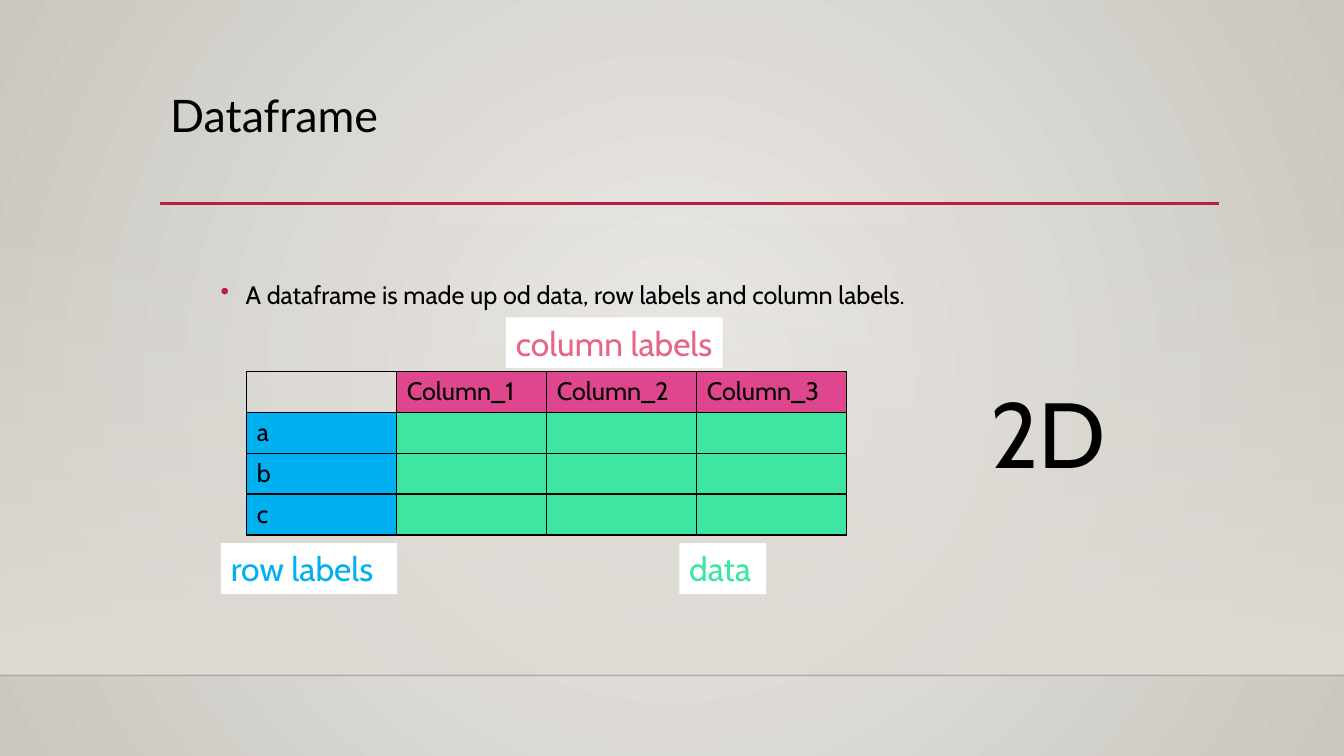
import pptx
import pptx.dml.color
import pptx.enum.shapes
import pptx.oxml
import pptx.oxml.ns
import pptx.util
from pptx.util import Cm

TITLE = "Dataframe"
BULLET = "A dataframe is made up od data, row labels and column labels."
DIMENSION = "2D"
COLUMNS = ["Column_1", "Column_2", "Column_3"]
ROWS = ["a", "b", "c"]
BLACK, WHITE, RED = "000000", "FFFFFF", "B71E42"
PINK, BLUE, GREEN = "DE478E", "00B0F0", "3DE6A1"
LABELS = [
    ("column labels", "E66684", 12.75, 8.0, 5.46),
    ("row labels", BLUE, 5.57, 13.69, 4.44),
    ("data", GREEN, 17.12, 13.69, 2.18),
]
LABEL_H = 1.28
WIDTH, HEIGHT = 33.87, 19.05
SHELF_TOP, SHELF_Y = 5.61, 17.02
MARGIN, CONTENT_W, RULE_Y = 4.04, 26.67, 5.13
TABLE_X, TABLE_Y, COL_W, ROW_H = 6.22, 9.36, 3.78, 1.03


def color(value):
    return pptx.dml.color.RGBColor.from_string(value)


def xml(tag, inner="", attrs=""):
    ns = pptx.oxml.ns.nsdecls("a")
    return pptx.oxml.parse_xml(f"<a:{tag} {ns} {attrs}>{inner}</a:{tag}>")


def solid(value, alpha=100):
    return f'<a:srgbClr val="{value}"><a:alpha val="{alpha * 1000}"/></a:srgbClr>'


def gradient(owner, fill, stops, direction):
    fill.gradient()
    grad = next(owner.iter(pptx.oxml.ns.qn("a:gradFill")))
    for child in list(grad):
        grad.remove(child)
    grad.append(xml("gsLst", "".join(
        f'<a:gs pos="{pos * 1000}">{solid(value, alpha)}</a:gs>'
        for pos, value, alpha in stops)))
    grad.append(direction)


def write(tf, text, size=18, font="Cabin", fill=BLACK, spacing=None, bullet=None):
    tf.word_wrap = True
    p = tf.paragraphs[0]
    if spacing:
        p.line_spacing = spacing
    if bullet:
        pPr = p._p.get_or_add_pPr()
        pPr.set("marL", str(Cm(1.9)))
        pPr.set("indent", str(-Cm(0.63)))
        pPr.append(xml("buClr", solid(bullet)))
        pPr.append(xml("buChar", attrs='char="•"'))
    r = p.add_run()
    r.text = text
    r.font.size = pptx.util.Pt(size)
    r.font.name = font
    r.font.color.rgb = color(fill)


def text_box(s, x, y, w, h, text, back=None, **style):
    sp = s.shapes.add_textbox(Cm(x), Cm(y), Cm(w), Cm(h))
    sp.text_frame.margin_right = 0
    if back:
        sp.fill.solid()
        sp.fill.fore_color.rgb = color(back)
    write(sp.text_frame, text, **style)


def rule(s, x, y, w, value, width, alpha=100):
    line = s.shapes.add_connector(
        pptx.enum.shapes.MSO_CONNECTOR.STRAIGHT, Cm(x), Cm(y), Cm(x + w), Cm(y))
    line.line.width = pptx.util.Pt(width)
    line.line.color.rgb = color(value)
    clr = next(line._element.spPr.iter(pptx.oxml.ns.qn("a:srgbClr")))
    clr.append(xml("alpha", attrs=f'val="{alpha * 1000}"'))
    line._element.spPr.append(xml("effectLst"))


def style_cell(cell, text, back):
    tcPr = cell._tc.get_or_add_tcPr()
    for side in ("lnL", "lnR", "lnT", "lnB"):
        tcPr.append(xml(side, f"<a:solidFill>{solid(BLACK)}</a:solidFill>", 'w="12700"'))
    if back:
        cell.fill.solid()
        cell.fill.fore_color.rgb = color(back)
    else:
        cell.fill.background()
    if text:
        write(cell.text_frame, text)


def add_frame_table(s):
    grid = [[""] + COLUMNS] + [[name] + [""] * len(COLUMNS) for name in ROWS]
    n_rows, n_cols = len(grid), len(grid[0])
    table = s.shapes.add_table(
        n_rows, n_cols, Cm(TABLE_X), Cm(TABLE_Y),
        Cm(COL_W * n_cols), Cm(ROW_H * n_rows)).table
    table.horz_banding = False
    table.first_row = False
    for col in table.columns:
        col.width = Cm(COL_W)
    for i, row in enumerate(grid):
        table.rows[i].height = Cm(ROW_H)
        for j, text in enumerate(row):
            back = (GREEN if j else BLUE) if i else (PINK if j else None)
            style_cell(table.cell(i, j), text, back)


def main():
    prs = pptx.Presentation()
    prs.slide_width, prs.slide_height = Cm(WIDTH), Cm(HEIGHT)
    s = prs.slides.add_slide(prs.slide_layouts[6])

    center = '<a:fillToRect l="50000" t="50000" r="50000" b="50000"/>'
    gradient(s._element, s.background.fill,
             [(0, "ECEAE7", 100), (100, "CAC7C1", 100)],
             xml("path", center, 'path="circle"'))
    wall = s.shapes.add_shape(
        pptx.enum.shapes.MSO_SHAPE.RECTANGLE,
        0, Cm(SHELF_TOP), Cm(WIDTH), Cm(SHELF_Y - SHELF_TOP))
    wall.shadow.inherit = False
    wall.line.fill.background()
    gradient(wall._element, wall.fill,
             [(0, "DFDBD5", 0), (100, "DFDBD5", 100)],
             xml("lin", attrs='ang="5400000" scaled="0"'))
    rule(s, 0, SHELF_Y, WIDTH, "000001", 1, alpha=20)
    rule(s, MARGIN, RULE_Y, CONTENT_W, RED, 2.5)

    text_box(s, MARGIN, 2.24, CONTENT_W, 2.9, TITLE, size=32, font="Lato", spacing=0.9)
    text_box(s, MARGIN, 6.77, CONTENT_W, 1.2, BULLET, spacing=1.2, bullet=RED)
    add_frame_table(s)
    for text, fill, x, y, w in LABELS:
        text_box(s, x, y, w, LABEL_H, text, back=WHITE, size=24, fill=fill)
    text_box(s, 24.71, 9.36, 5.05, 3.07, DIMENSION, size=66)
    prs.save("out.pptx")


if __name__ == "__main__":
    main()
